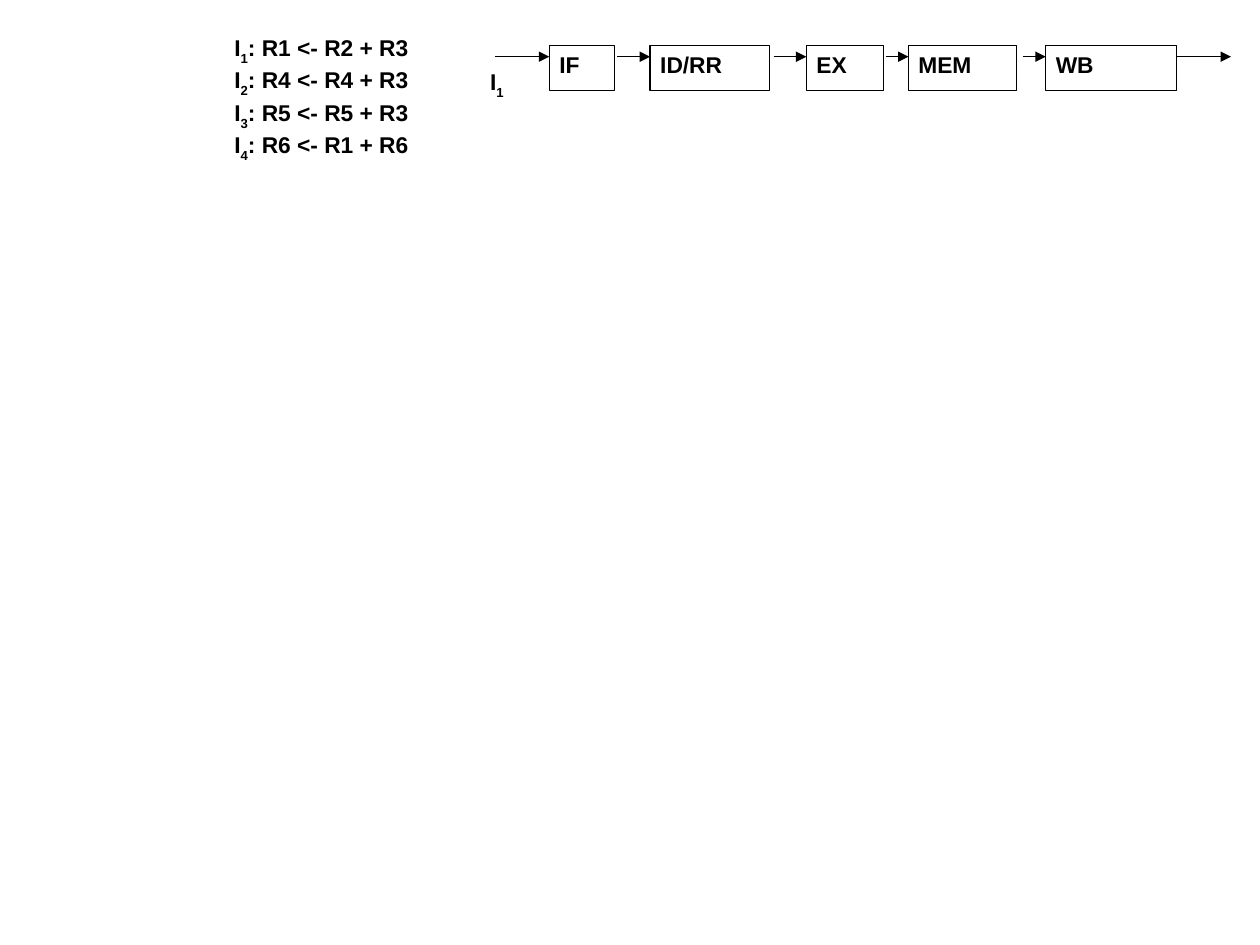
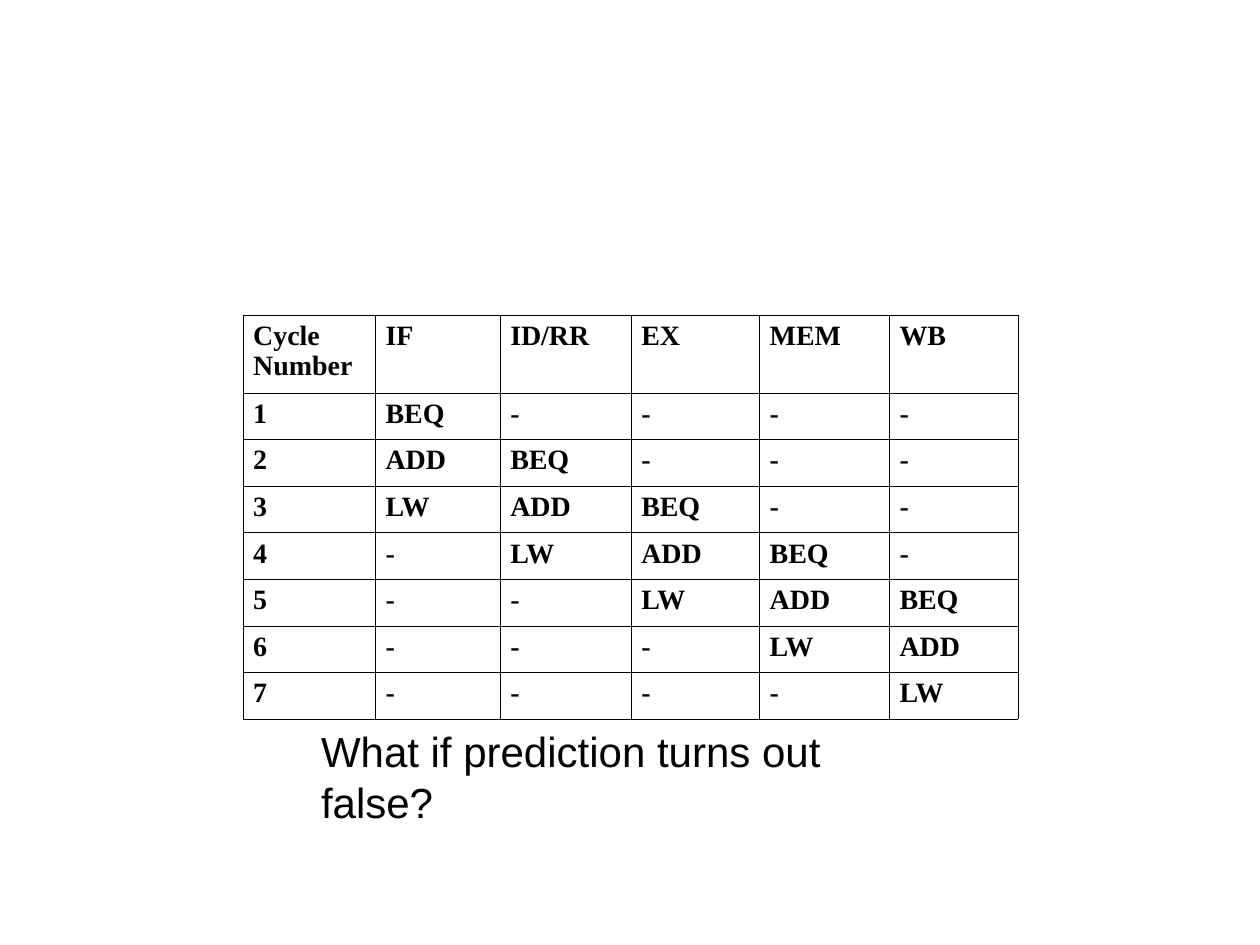
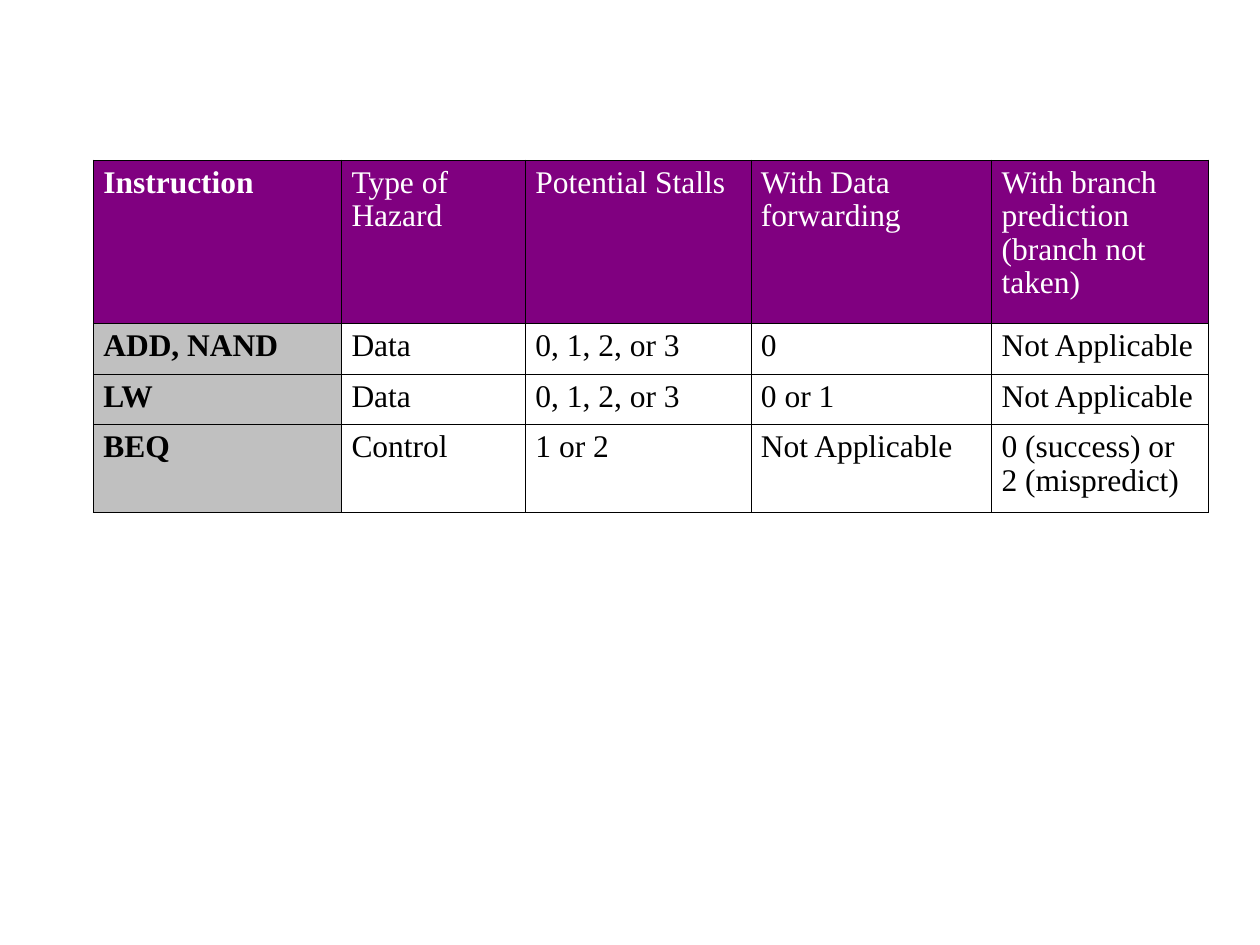
from pptx import Presentation
from pptx.dml.color import RGBColor
from pptx.enum import shapes, text
from pptx.oxml import parse_xml
from pptx.oxml.ns import nsdecls
from pptx.util import Inches, Pt

BLACK = RGBColor(0x00, 0x00, 0x00)
WHITE = RGBColor(0xFF, 0xFF, 0xFF)
PURPLE = RGBColor(0x80, 0x00, 0x80)
SILVER = RGBColor(0xC0, 0xC0, 0xC0)
SANS, SERIF = "Arial", "Times New Roman"

OPERATIONS = ["R1 <- R2 + R3", "R4 <- R4 + R3", "R5 <- R5 + R3", "R6 <- R1 + R6"]

# stage, left, width, length of the arrow leading in
STAGES = [
    ("IF", 4.36, 0.52, 0.43),
    ("ID/RR", 5.16, 0.95, 0.26),
    ("EX", 6.40, 0.61, 0.26),
    ("MEM", 7.21, 0.86, 0.18),
    ("WB", 8.30, 1.04, 0.18),
]
STAGE_TOP, STAGE_HEIGHT, FLOW_Y, EXIT_LENGTH = 0.36, 0.36, 0.45, 0.43

PROGRAM = ["BEQ", "ADD", "LW"]
CYCLES = 7
QUESTION = "What if prediction turns out false?"

HAZARDS = [
    ["Instruction", "Type of Hazard", "Potential Stalls", "With Data forwarding",
     "With branch prediction (branch not taken)"],
    ["ADD, NAND", "Data", "0, 1, 2, or 3", "0", "Not Applicable"],
    ["LW", "Data", "0, 1, 2, or 3", "0 or 1", "Not Applicable"],
    ["BEQ", "Control", "1 or 2", "Not Applicable", "0 (success) or\n2 (mispredict)"],
]


def add_run(paragraph, words, size, font=SANS, color=BLACK, bold=True, subscript=False):
    run = paragraph.add_run()
    run.text = words
    run.font.size, run.font.name, run.font.bold = Pt(size), font, bold
    run.font.color.rgb = color
    if subscript:
        run.font._element.set("baseline", "-30000")


def set_frame(frame, side=0.08, end=0.04, wrap=True):
    frame.word_wrap = wrap
    frame.vertical_anchor = text.MSO_ANCHOR.TOP
    frame.margin_left = frame.margin_right = Inches(side)
    frame.margin_top = frame.margin_bottom = Inches(end)


def add_text_box(slide, left, top, width, height, **margins):
    frame = slide.shapes.add_textbox(*map(Inches, (left, top, width, height))).text_frame
    set_frame(frame, **margins)
    return frame


def add_label(paragraph, number, lead="", tail=""):
    add_run(paragraph, lead + "I", 13)
    add_run(paragraph, str(number), 13, subscript=True)
    if tail:
        add_run(paragraph, tail, 13)


def add_stage(slide, name, left, width):
    stage = slide.shapes.add_shape(
        shapes.MSO_SHAPE.RECTANGLE,
        *map(Inches, (left, STAGE_TOP, width, STAGE_HEIGHT)))
    stage.shadow.inherit = False
    stage.fill.background()
    stage.line.color.rgb, stage.line.width = BLACK, Pt(0.75)
    set_frame(stage.text_frame)
    paragraph = stage.text_frame.paragraphs[0]
    paragraph.alignment = text.PP_ALIGN.LEFT
    add_run(paragraph, name, 13)


def add_arrow(slide, start, end):
    arrow = slide.shapes.add_connector(
        shapes.MSO_CONNECTOR.STRAIGHT, *map(Inches, (start, FLOW_Y, end, FLOW_Y)))
    arrow.line.color.rgb, arrow.line.width = BLACK, Pt(0.75)
    arrow.line._get_or_add_ln().append(
        parse_xml(f'<a:tailEnd {nsdecls("a")} type="triangle"/>'))
    arrow._element.spPr.append(parse_xml(f'<a:effectLst {nsdecls("a")}/>'))


def add_borders(cell):
    properties = cell._tc.get_or_add_tcPr()
    for side in ("lnL", "lnR", "lnT", "lnB"):
        properties.append(parse_xml(
            f'<a:{side} {nsdecls("a")} w="{Pt(0.45)}"><a:solidFill>'
            f'<a:srgbClr val="{BLACK}"/></a:solidFill></a:{side}>'))


def add_grid(slide, rows, left, top, widths, heights, size, look):
    table = slide.shapes.add_table(
        len(rows), len(widths),
        *map(Inches, (left, top, sum(widths), sum(heights)))).table
    table.first_row = table.horz_banding = False
    for column, width in zip(table.columns, widths):
        column.width = Inches(width)
    for r, (row, height) in enumerate(zip(rows, heights)):
        table.rows[r].height = Inches(height)
        for c, words in enumerate(row):
            cell = table.cell(r, c)
            fill, color, bold = look(r, c)
            add_borders(cell)
            if fill is None:
                cell.fill.background()
            else:
                cell.fill.solid()
                cell.fill.fore_color.rgb = fill
            cell.margin_left = cell.margin_right = Inches(0.08)
            cell.margin_top = cell.margin_bottom = Inches(0.05)
            for i, line in enumerate(words.split("\n")):
                frame = cell.text_frame
                paragraph = frame.add_paragraph() if i else frame.paragraphs[0]
                paragraph.line_spacing = 0.96
                add_run(paragraph, line, size, SERIF, color, bold)


def plain_look(row, column):
    return None, BLACK, True


def hazard_look(row, column):
    if row == 0:
        return PURPLE, WHITE, column == 0
    if column == 0:
        return SILVER, BLACK, True
    return None, BLACK, False


def build_pipeline(slide):
    listing = add_text_box(slide, 0.78, 0.23, 2.85, 0.99)
    for number, operation in enumerate(OPERATIONS, 1):
        paragraph = listing.paragraphs[0] if number == 1 else listing.add_paragraph()
        paragraph._p.get_or_add_pPr().append(parse_xml(
            f'<a:tabLst {nsdecls("a")}><a:tab pos="{Inches(1)}" algn="l"/></a:tabLst>'))
        add_label(paragraph, number, "\t", f": {operation}")
    for name, left, width, lead in STAGES:
        add_stage(slide, name, left, width)
        add_arrow(slide, left - lead, left)
    pipeline_end = left + width
    add_arrow(slide, pipeline_end, pipeline_end + EXIT_LENGTH)
    add_label(add_text_box(slide, 3.81, 0.5, 0.38, 0.35).paragraphs[0], 1)


def build_cycles(slide):
    rows = [["Cycle Number"] + [stage[0] for stage in STAGES]]
    for cycle in range(CYCLES):
        issued = [cycle - depth for depth in range(len(STAGES))]
        rows.append([str(cycle + 1)] + [
            PROGRAM[i] if 0 <= i < len(PROGRAM) else "-" for i in issued])
    add_grid(slide, rows, 1.93, 2.5, [1.05, 0.99, 1.04, 1.02, 1.03, 1.02],
             [0.62] + [0.37] * CYCLES, 16, plain_look)
    question = add_text_box(slide, 2.45, 5.71, 5.14, 0.5, side=0.1, end=0.05, wrap=False)
    question.auto_size = text.MSO_AUTO_SIZE.SHAPE_TO_FIT_TEXT
    add_run(question.paragraphs[0], QUESTION, 24, bold=False)


def build_hazards(slide):
    add_grid(slide, HAZARDS, 0.74, 1.27, [1.97, 1.46, 1.79, 1.91, 1.72],
             [1.3, 0.4, 0.4, 0.7], 18, hazard_look)


def main():
    deck = Presentation()
    deck.slide_width, deck.slide_height = Inches(10), Inches(7.5)
    for build in (build_pipeline, build_cycles, build_hazards):
        build(deck.slides.add_slide(deck.slide_layouts[6]))
    deck.save("out.pptx")


if __name__ == "__main__":
    main()
